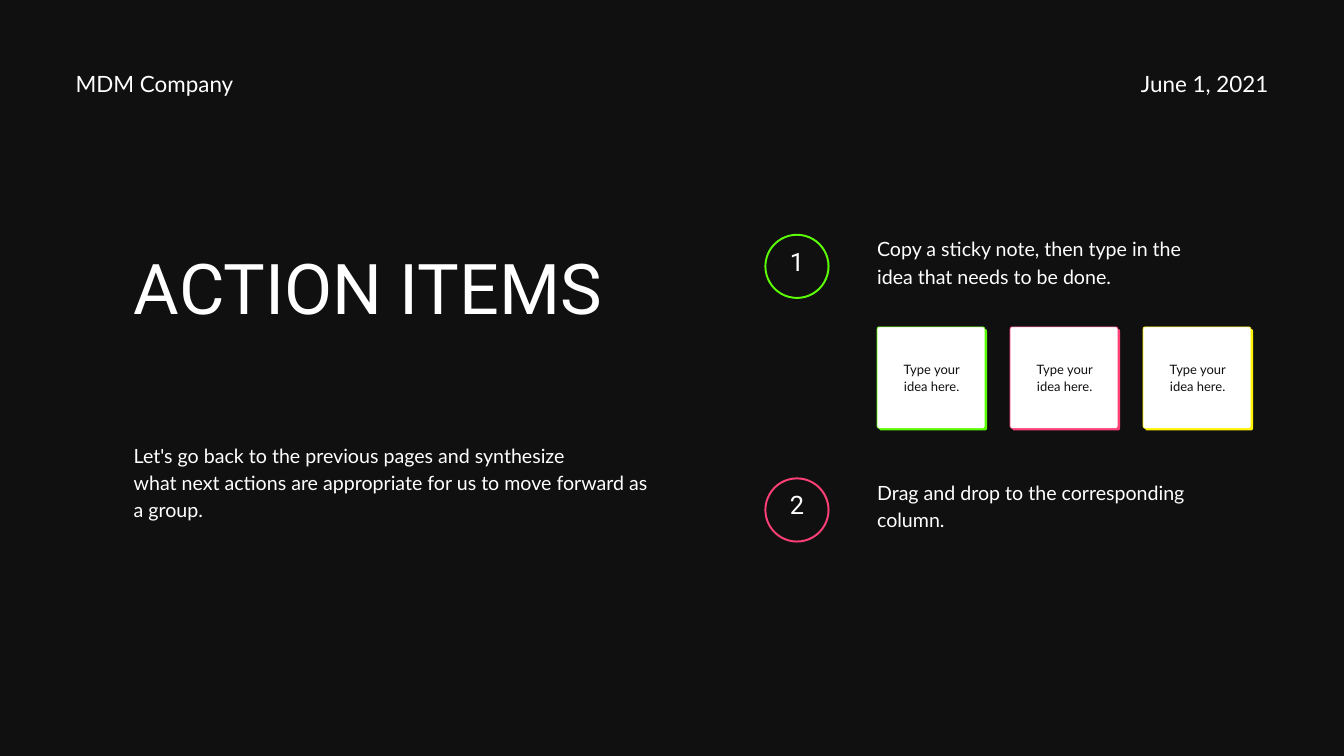
from dataclasses import dataclass

from pptx import Presentation
from pptx.dml.color import RGBColor
from pptx.enum.shapes import MSO_SHAPE
from pptx.enum.text import PP_ALIGN
from pptx.util import Emu, Pt

SCALE = 9525


@dataclass(frozen=True)
class Theme:
    dark: str = "101010"
    white: str = "FFFFFF"
    green: str = "5AFD04"
    pink: str = "FF4077"
    yellow: str = "FFF200"
    head: str = "Roboto"
    body: str = "Lato"
    title: tuple = (75, 82.5)
    number: tuple = (27.2, 26.1)
    label: tuple = (24, 28.8)
    plain: tuple = (21, 29.4)
    small: tuple = (13.9, 18.1)


class Board:
    def __init__(self, slide, theme):
        self.slide = slide
        self.theme = theme
        back = slide.background.fill
        back.solid()
        back.fore_color.rgb = RGBColor.from_string(theme.dark)

    def text(self, words, box, style, font=None, color=None, align=PP_ALIGN.LEFT):
        size, leading = style
        frame = self.slide.shapes.add_textbox(*(Emu(n * SCALE) for n in box)).text_frame
        frame.margin_left = frame.margin_right = 0
        frame.margin_top = frame.margin_bottom = 0
        frame.word_wrap = True
        frame.text = words
        for line in frame.paragraphs:
            line.alignment = align
            line.line_spacing = Pt(leading)
            for run in line.runs:
                run.font.size = Pt(size)
                run.font.name = font or self.theme.body
                run.font.color.rgb = RGBColor.from_string(color or self.theme.white)

    def shape(self, kind, box, fill, adjust, line=None):
        shape = self.slide.shapes.add_shape(kind, *(Emu(n * SCALE) for n in box))
        shape.shadow.inherit = False
        shape.adjustments[0] = adjust
        shape.fill.solid()
        shape.fill.fore_color.rgb = RGBColor.from_string(fill)
        if line:
            shape.line.color.rgb = RGBColor.from_string(line)
            shape.line.width = Pt(0.75)
        else:
            shape.line.fill.background()

    def step(self, number, words, top, color):
        self.shape(MSO_SHAPE.DONUT, (1092, top, 93, 93), color, 0.03)
        self.text(str(number), (1121, top + 26, 35, 42), self.theme.number,
                  self.theme.head, align=PP_ALIGN.CENTER)
        self.text(words, (1253, top - 1, 491, 84), self.theme.plain)

    def note(self, words, left, top, color):
        wide, high, drop = 154, 145, 3
        kind = MSO_SHAPE.ROUNDED_RECTANGLE
        self.shape(kind, (left + drop, top + drop, wide, high), color, 0.02)
        self.shape(kind, (left, top, wide, high), self.theme.white, 0.02, color)
        self.text(words, (left + 22, top + 47, 112, 51), self.theme.small,
                  color=self.theme.dark, align=PP_ALIGN.CENTER)


def main():
    deck = Presentation()
    deck.slide_width, deck.slide_height = Emu(1920 * SCALE), Emu(1080 * SCALE)
    theme = Theme()
    board = Board(deck.slides.add_slide(deck.slide_layouts[6]), theme)

    board.text("June 1, 2021", (1399, 100, 413, 46), theme.label, align=PP_ALIGN.RIGHT)
    board.text("MDM Company", (108, 100, 413, 46), theme.label)

    steps = [
        ("Copy a sticky note, then type in the idea that needs to be done.", theme.green),
        ("Drag and drop to the corresponding column.", theme.pink),
    ]
    for i, (words, color) in enumerate(steps):
        board.step(i + 1, words, 334 + 348 * i, color)

    for i, color in enumerate((theme.green, theme.pink, theme.yellow)):
        board.note("Type your idea here.", 1253 + 190 * i, 467, color)

    board.text("ACTION ITEMS", (191, 359, 749, 231), theme.title, theme.head)
    board.text("Let's go back to the previous pages and synthesize\n"
               "what next actions are appropriate for us to move forward as a group.",
               (191, 628, 749, 120), theme.plain)

    deck.save("out.pptx")


if __name__ == "__main__":
    main()
